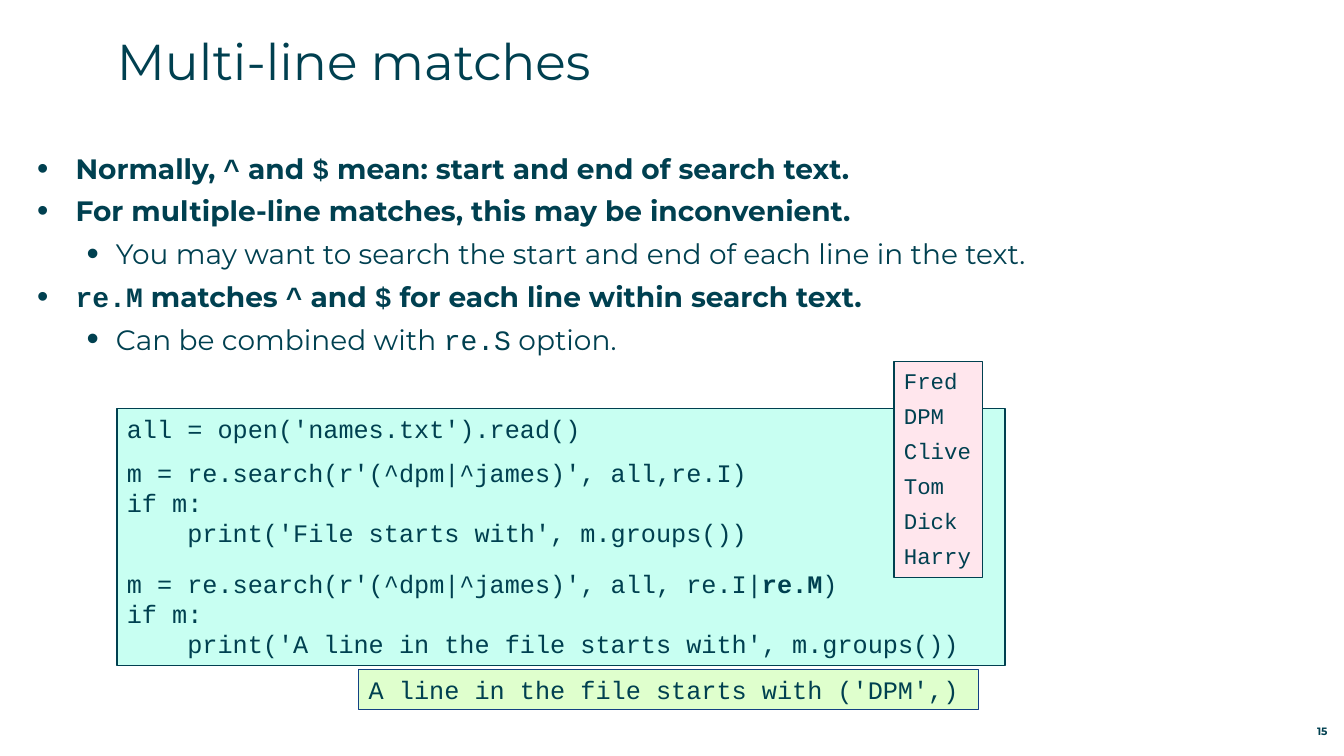
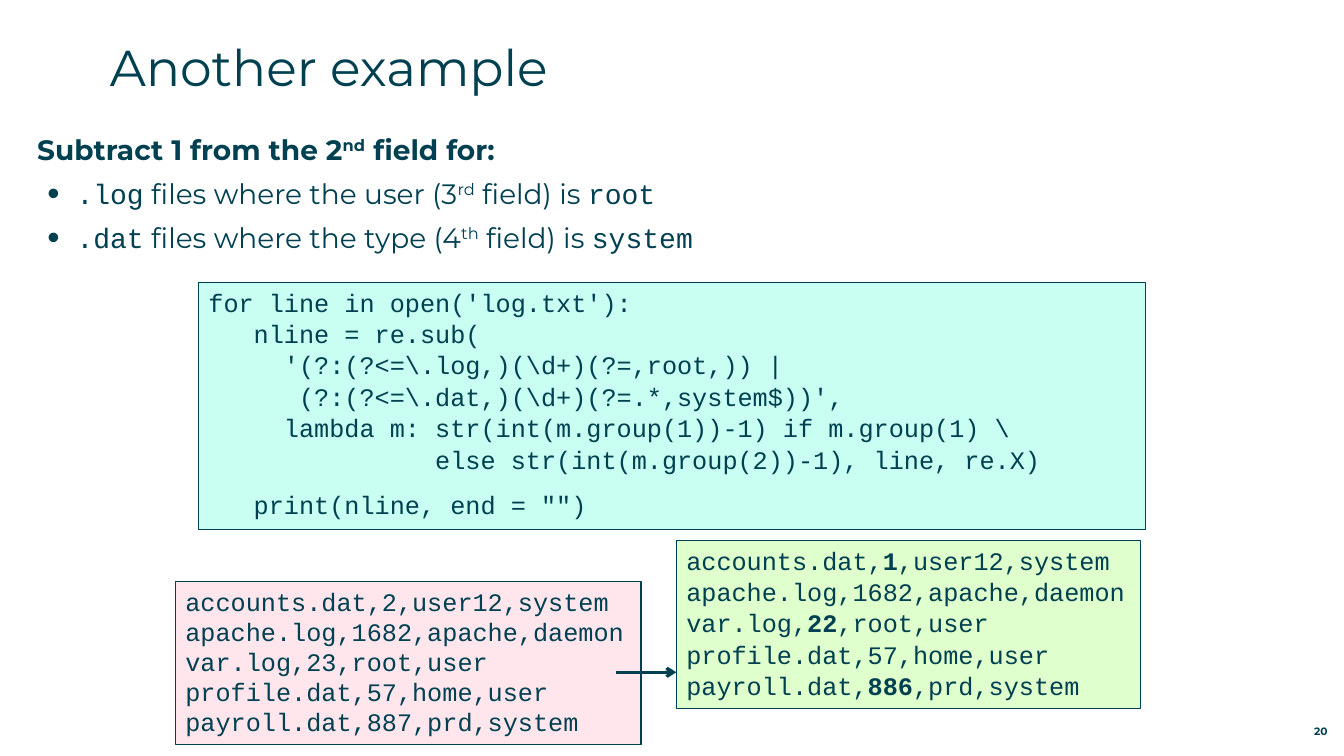
from pptx import Presentation
from pptx.dml.color import RGBColor
from pptx.enum.shapes import MSO_CONNECTOR, MSO_SHAPE
from pptx.enum.text import MSO_ANCHOR, MSO_AUTO_SIZE, PP_ALIGN
from pptx.oxml.ns import qn
from pptx.util import Pt
from lxml.etree import SubElement

# Shared look
INK = RGBColor(0x00, 0x40, 0x50)
BLUE = RGBColor(0x13, 0x41, 0x83)
MINT = RGBColor(0xC8, 0xFF, 0xF2)
PINK = RGBColor(0xFF, 0xE6, 0xED)
LIME = RGBColor(0xDF, 0xFF, 0xCD)
TEXT_FONT, CODE_FONT = "Montserrat", "Courier New"
CODE_LEADING = 1.19

# Paragraph kinds: level, left margin, hanging indent, bullet size, bold
KINDS = {
    "heading": (0, 0, 0, None, True),
    "point": (0, 27.4, 27.4, 115, True),
    "subpoint": (1, 56.2, 20.9, 125, False),
    "item": (1, 28.1, 20.9, 125, False),
}

# Content: a run is a string or (string, style)
# A code line is a list of runs, or (space before, runs)
SLIDES = [
    {
        "title": "Multi-line matches", "title_at": (83.5, 21.6),
        "body_top": 108, "space_before": 0, "number": "15",
        "body": [
            ("point", ["Normally, ", ("^", "code"), " and ", ("$", "code"),
                       " mean: start and end of search text."]),
            ("point", ["For multiple-line matches, this may be inconvenient."]),
            ("subpoint", ["You may want to search the start and end of each line in the text."]),
            ("point", [("re.M", "code"), " matches ", ("^", "code"), " and ", ("$", "code"),
                       " for each line within search text."]),
            ("subpoint", ["Can be combined with ", ("re.S", "code"), " option."]),
        ],
        "boxes": [
            {"at": (83.5, 291.6, 634.3, 183.6), "fill": MINT, "width": 1, "lines": [
                ["all = open('names.txt').read()"],
                (10, ["m = re.search(r'(^dpm|^james)', all,re.I)"]),
                ["if m:"],
                ["    print('File starts with', m.groups())"],
                (15, ["m = re.search(r'(^dpm|^james)', all, re.I|", ("re.M", "bold"), ")"]),
                ["if m:"],
                ["    print('A line in the file starts with', m.groups())"],
            ]},
            {"at": (638.6, 258.5, 63.4, 154), "fill": PINK, "size": 16, "gap": 6, "lines": [
                [name] for name in ("Fred", "DPM", "Clive", "Tom", "Dick", "Harry")]},
            {"at": (256.3, 478, 442.8, 28.8), "fill": LIME, "line": BLUE, "lines": [
                ["A line in the file starts with ('DPM',)"]]},
        ],
        "arrows": [],
    },
    {
        "title": "Another example", "title_at": (78.5, 25.9),
        "body_top": 94.3, "space_before": 1, "number": "20",
        "body": [
            ("heading", ["Subtract 1 from the 2", ("nd", "super"), " field for:"]),
            ("item", [(".log", "code"), " files where the user (3", ("rd", "super"),
                      " field) is ", ("root", "code")]),
            ("item", [(".dat", "code"), " files where the type (4", ("th", "super"),
                      " field) is ", ("system", "code")]),
        ],
        "boxes": [
            {"at": (141.8, 201.6, 676.8, 176.4), "fill": MINT, "gap": 1, "lines": [
                ["for line in open('log.txt'):"],
                ["   nline = re.sub("],
                [r"     '(?:(?<=\.log,)(\d+)(?=,root,)) |"],
                [r"      (?:(?<=\.dat,)(\d+)(?=.*,system$))',"],
                ["     lambda m: str(int(m.group(1))-1) if m.group(1) \\"],
                ["               else str(int(m.group(2))-1), line, re.X)"],
                (11, ['   print(nline, end = "")']),
            ]},
            {"at": (483.1, 385.9, 331.9, 120.2), "fill": LIME, "gap": 1, "lines": [
                ["accounts.dat,", ("1", "bold"), ",user12,system"],
                ["apache.log,1682,apache,daemon"],
                ["var.log,", ("22", "bold"), ",root,user"],
                ["profile.dat,57,home,user"],
                ["payroll.dat,", ("886", "bold"), ",prd,system"],
            ]},
            {"at": (125.3, 415.4, 332.6, 116.6), "fill": PINK, "lines": [
                ["accounts.dat,2,user12,system"],
                ["apache.log,1682,apache,daemon"],
                ["var.log,23,root,user"],
                ["profile.dat,57,home,user"],
                ["payroll.dat,887,prd,system"],
            ]},
        ],
        "arrows": [(439.9, 480.2, 483.1, 480.2)],
    },
]


def place(shape, left, top, width, height):
    shape.left, shape.top, shape.width, shape.height = map(Pt, (left, top, width, height))


def prepare(frame, margins=(0, 0, 0, 0), anchor=MSO_ANCHOR.TOP):
    frame.auto_size = MSO_AUTO_SIZE.NONE
    frame.word_wrap = True
    frame.vertical_anchor = anchor
    (frame.margin_left, frame.margin_top,
     frame.margin_right, frame.margin_bottom) = map(Pt, margins)
    return frame


def add_runs(paragraph, runs, size, font_name=TEXT_FONT, bold=False):
    for item in runs:
        text, style = (item, "") if isinstance(item, str) else item
        run = paragraph.add_run()
        run.text = text
        run.font.name = CODE_FONT if style == "code" else font_name
        run.font.size = Pt(size)
        run.font.bold = bold or style == "bold"
        run.font.color.rgb = INK
        if style == "super":
            run._r.get_or_add_rPr().set("baseline", "30000")


def paragraphs(frame, entries):
    """Yield each entry with its paragraph, reusing the first one."""
    for index, entry in enumerate(entries):
        yield index, frame.paragraphs[0] if index == 0 else frame.add_paragraph(), entry


def set_bullet(paragraph, margin, hanging, percent):
    properties = paragraph._p.get_or_add_pPr()
    properties.set("marL", str(Pt(margin)))
    properties.set("indent", str(-Pt(hanging)))
    if percent is None:
        SubElement(properties, qn("a:buNone"))
        return
    SubElement(properties, qn("a:buSzPct")).set("val", str(percent * 1000))
    SubElement(properties, qn("a:buFont")).set("typeface", "Arial")
    SubElement(properties, qn("a:buChar")).set("char", "•")


def fill_body(body, entries, space_before):
    frame = prepare(body.text_frame)
    for index, paragraph, (kind, runs) in paragraphs(frame, entries):
        level, margin, hanging, percent, bold = KINDS[kind]
        paragraph.level = level
        set_bullet(paragraph, margin, hanging, percent)
        paragraph.line_spacing = Pt(24)
        paragraph.space_before = Pt(space_before if index else 0)
        paragraph.space_after = Pt(6.5)
        add_runs(paragraph, runs, 20, bold=bold)


def add_code_box(slide, box):
    shape = slide.shapes.add_shape(MSO_SHAPE.RECTANGLE, *map(Pt, box["at"]))
    shape.shadow.inherit = False
    shape.fill.solid()
    shape.fill.fore_color.rgb = box["fill"]
    shape.line.color.rgb = box.get("line", INK)
    shape.line.width = Pt(box.get("width", 0.75))
    frame = prepare(shape.text_frame, (7.2, 3.6, 0, 3.6))
    size = box.get("size", 18)
    for index, paragraph, entry in paragraphs(frame, box["lines"]):
        gap, runs = entry if isinstance(entry, tuple) else (box.get("gap", 0), entry)
        paragraph.alignment = PP_ALIGN.LEFT
        paragraph.line_spacing = Pt(size * CODE_LEADING)
        paragraph.space_before = Pt(gap if index else 0)
        add_runs(paragraph, runs, size, CODE_FONT)


def add_arrow(slide, ends):
    arrow = slide.shapes.add_connector(MSO_CONNECTOR.STRAIGHT, *map(Pt, ends))
    arrow.line.color.rgb = INK
    arrow.line.width = Pt(2.25)
    SubElement(arrow.line._get_or_add_ln(), qn("a:tailEnd")).set("type", "arrow")
    SubElement(arrow._element.spPr, qn("a:effectLst"))


def add_page_number(slide, number):
    box = slide.shapes.add_textbox(Pt(886.3), Pt(512.6), Pt(61.9), Pt(14.4))
    paragraph = prepare(box.text_frame, anchor=MSO_ANCHOR.BOTTOM).paragraphs[0]
    paragraph.alignment = PP_ALIGN.RIGHT
    add_runs(paragraph, [number], 7.6, bold=True)


def build_slide(presentation, content):
    slide = presentation.slides.add_slide(presentation.slide_layouts[1])
    # Title and list
    title, body = slide.shapes.title, slide.placeholders[1]
    place(title, *content["title_at"], 870, 63.4)
    heading = prepare(title.text_frame).paragraphs[0]
    heading.alignment = PP_ALIGN.LEFT
    add_runs(heading, [content["title"]], 36)
    place(body, 26.6, content["body_top"], 906.5, 390.2)
    fill_body(body, content["body"], content["space_before"])
    # Code, arrows and page number
    for box in content["boxes"]:
        add_code_box(slide, box)
    for ends in content["arrows"]:
        add_arrow(slide, ends)
    add_page_number(slide, content["number"])


def main():
    presentation = Presentation()
    presentation.slide_width, presentation.slide_height = Pt(960), Pt(540)
    for content in SLIDES:
        build_slide(presentation, content)
    presentation.save("out.pptx")


if __name__ == "__main__":
    main()
